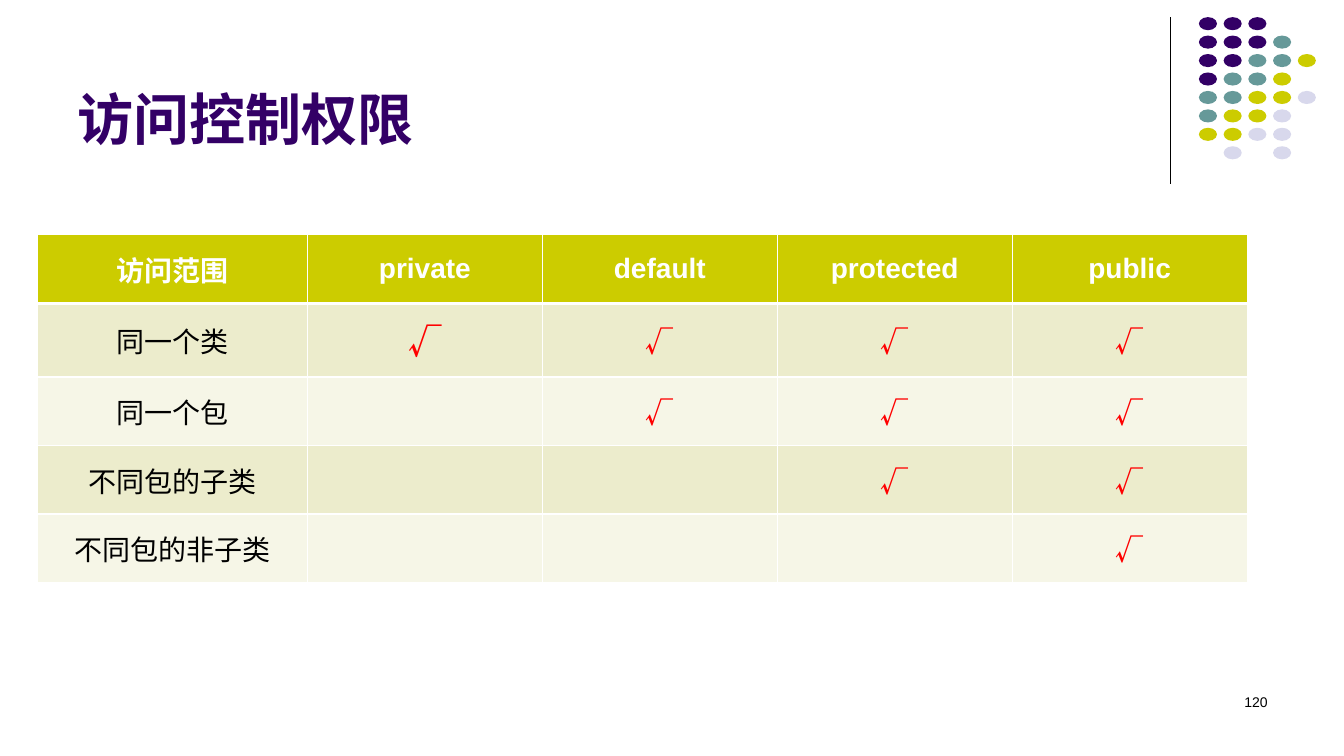
from lxml.etree import SubElement
from pptx import Presentation
from pptx.dml.color import RGBColor
from pptx.enum.shapes import MSO_CONNECTOR as Connector, MSO_SHAPE as Shape
from pptx.enum.text import MSO_ANCHOR as Anchor, PP_ALIGN as Align
from pptx.oxml.ns import qn
from pptx.util import Inches, Pt

# Colours
PURPLE = RGBColor(0x33, 0x00, 0x66)
TEAL = RGBColor(0x66, 0x99, 0x99)
OLIVE = RGBColor(0xCC, 0xCC, 0x00)
LAVENDER = RGBColor(0xD8, 0xD8, 0xEC)
BAND_DARK = RGBColor(0xEC, 0xEC, 0xCC)
BAND_LIGHT = RGBColor(0xF6, 0xF6, 0xE7)
WHITE = RGBColor(0xFF, 0xFF, 0xFF)
BLACK = RGBColor(0x00, 0x00, 0x00)
RED = RGBColor(0xFF, 0x00, 0x00)

# Text formats
LATIN, CHINESE = "Arial", "Noto Sans CJK SC"
TITLE = dict(name=LATIN, size=Pt(40), bold=True, color=PURPLE)
NUMBER = dict(name=LATIN, size=Pt(10), bold=False, color=BLACK)
HEADER = dict(name=LATIN, size=Pt(20), bold=True, color=WHITE)
SCOPE = dict(HEADER, bold=False, color=BLACK)
TICK = dict(name=CHINESE, size=Pt(20), bold=True, color=RED)
BIG_TICK = dict(TICK, size=Pt(24))

# Content
MODIFIERS = ["private", "default", "protected", "public"]
SCOPES = ["同一个类", "同一个包", "不同包的子类", "不同包的非子类"]
DOT_COLOURS = {"P": PURPLE, "T": TEAL, "O": OLIVE, "L": LAVENDER}
DOT_ROWS = ["PPP", "PPPT", "PPTTO", "PTTO", "TTOOL", "TOOL", "OOLL", ".L.L"]


class Page:
    """One slide; all lengths are percentages of its width and height."""

    def __init__(self, deck):
        self.deck = deck
        self.slide = deck.slides.add_slide(deck.slide_layouts[6])
        self.shapes = self.slide.shapes

    def across(self, share):
        return round(self.deck.slide_width * share / 100)

    def down(self, share):
        return round(self.deck.slide_height * share / 100)

    def area(self, left, top, width, height):
        return (self.across(left), self.down(top),
                self.across(width), self.down(height))

    def add_span(self, para, text, style, align):
        para.alignment = align
        span = para.add_run()
        span.text = text
        for key, value in style.items():
            if key == "color":
                span.font.color.rgb = value
            else:
                setattr(span.font, key, value)
        SubElement(span.font._element, qn("a:ea"), typeface=CHINESE)

    def text(self, area, text, style, align=Align.LEFT, anchor=Anchor.TOP):
        frame = self.shapes.add_textbox(*self.area(*area)).text_frame
        frame.word_wrap = True
        frame.vertical_anchor = anchor
        self.add_span(frame.paragraphs[0], text, style, align)

    def rule(self, x, top, bottom):
        line = self.shapes.add_connector(
            Connector.STRAIGHT, self.across(x), self.down(top),
            self.across(x), self.down(bottom))
        line.line.color.rgb = BLACK
        line.line.width = Pt(0.75)
        SubElement(line._element.spPr, qn("a:effectLst"))

    def dot(self, area, colour):
        dot = self.shapes.add_shape(Shape.OVAL, *self.area(*area))
        dot.shadow.inherit = False
        dot.fill.solid()
        dot.fill.fore_color.rgb = colour
        dot.line.fill.background()

    def table(self, left, top, widths, heights):
        table = self.shapes.add_table(
            len(heights), len(widths),
            *self.area(left, top, sum(widths), sum(heights))).table
        for column, width in zip(table.columns, widths):
            column.width = self.across(width)
        for row, height in zip(table.rows, heights):
            row.height = self.down(height)
        return table

    def cell(self, cell, colour, borders, text="", style=None):
        cell.vertical_anchor = Anchor.MIDDLE
        properties = cell._tc.get_or_add_tcPr()
        for side, points in borders.items():
            edge = SubElement(properties, qn(f"a:ln{side}"), w=str(Pt(points)))
            fill = SubElement(edge, qn("a:solidFill"))
            SubElement(fill, qn("a:srgbClr"), val=str(WHITE))
        cell.fill.solid()
        cell.fill.fore_color.rgb = colour
        if text:
            self.add_span(cell.text_frame.paragraphs[0], text, style,
                          Align.CENTER)


def main():
    deck = Presentation()
    deck.slide_width, deck.slide_height = Inches(13.33), Inches(7.5)
    page = Page(deck)

    # Corner ornament
    page.rule(87.1, 2.27, 24.4)
    for row, pattern in enumerate(DOT_ROWS):
        for column, key in enumerate(pattern):
            if key in DOT_COLOURS:
                page.dot((89.2 + 1.84 * column, 2.27 + 2.44 * row, 1.35, 1.73),
                         DOT_COLOURS[key])

    # Title and page number
    page.text((5.03, 1.73, 82.52, 18.93), "访问控制权限", TITLE,
              anchor=Anchor.BOTTOM)
    page.text((71.72, 91.07, 23.33, 6.67), "120", NUMBER, Align.RIGHT)

    # Table header
    table = page.table(2.78, 31.07, [20.1] + [17.48] * 4,
                       [9.07, 9.73] + [9.07] * 3)
    thin = dict(L=1, R=1, T=1, B=1)
    for column, text in enumerate(["访问范围"] + MODIFIERS):
        page.cell(table.cell(0, column), OLIVE, dict(thin, B=3), text, HEADER)

    # Each wider scope needs a more open modifier
    for row, scope in enumerate(SCOPES, 1):
        colour = BAND_DARK if row % 2 else BAND_LIGHT
        borders = dict(thin, T=3) if row == 1 else thin
        page.cell(table.cell(row, 0), colour, borders, scope, SCOPE)
        for column in range(1, len(MODIFIERS) + 1):
            style = BIG_TICK if row == column == 1 else TICK
            page.cell(table.cell(row, column), colour, borders,
                      "√" if column >= row else "", style)

    deck.save("out.pptx")


if __name__ == "__main__":
    main()
